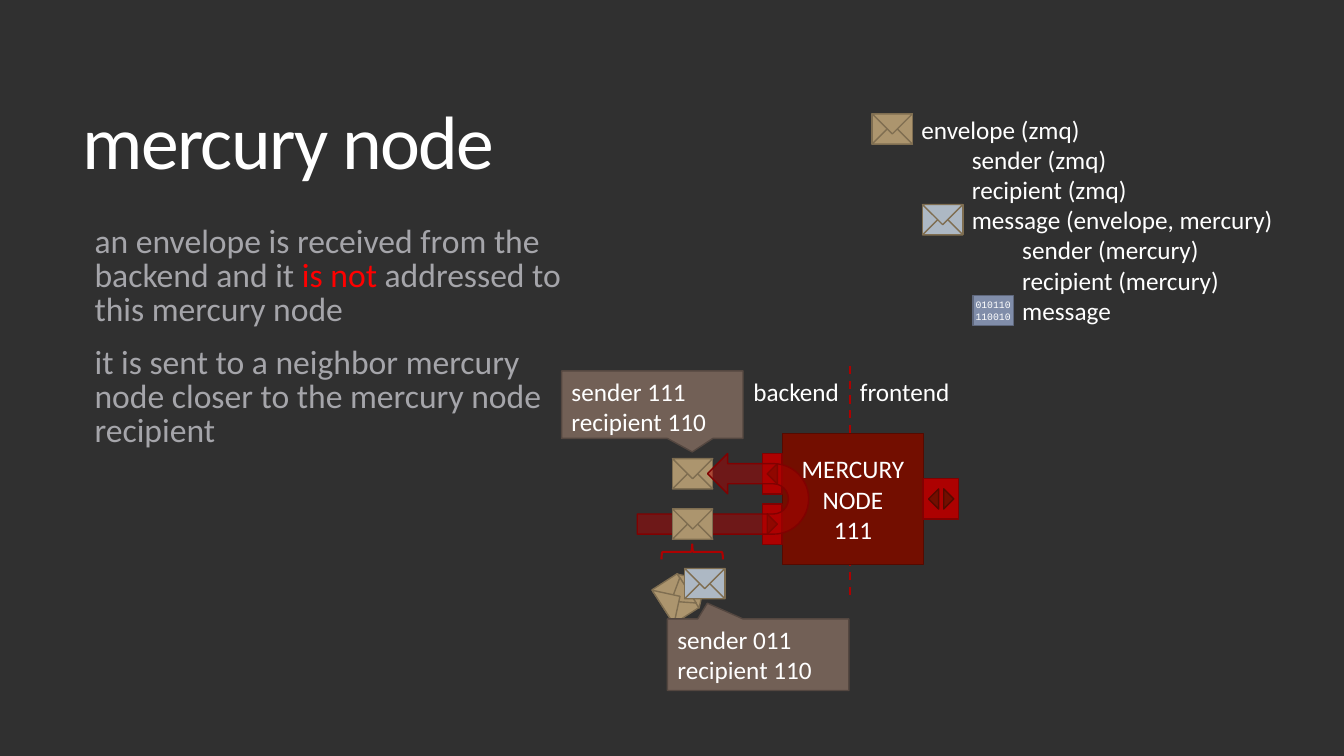
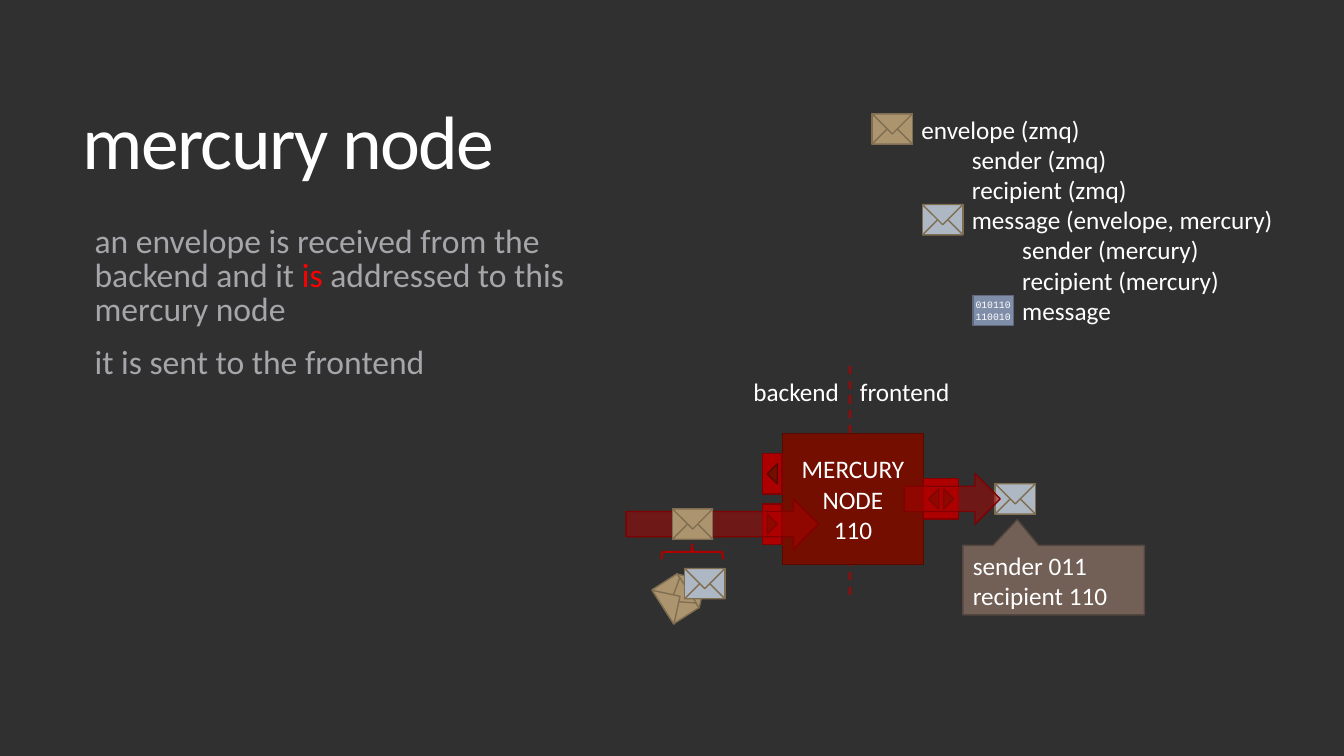
"""Build two slides on how a mercury node routes an envelope from its backend."""
from pptx import Presentation
from pptx.dml.color import RGBColor
from pptx.enum.dml import MSO_LINE
from pptx.enum.shapes import MSO_CONNECTOR, MSO_SHAPE as SHAPE
from pptx.enum.text import MSO_ANCHOR as ANCHOR, PP_ALIGN as ALIGN
from pptx.oxml.ns import qn
from pptx.util import Inches, Pt
from lxml.etree import SubElement

CELL = 0.1
BACKGROUND = RGBColor(0x30, 0x30, 0x30)
WHITE = RGBColor(0xFF, 0xFF, 0xFF)
GREY = RGBColor(0xA5, 0xA5, 0xAA)
ALERT = RGBColor(0xFF, 0x00, 0x00)
RED = RGBColor(0xAD, 0x01, 0x01)
RED_EDGE = RGBColor(0x80, 0x01, 0x01)
MAROON = RGBColor(0x73, 0x0E, 0x00)
MAROON_EDGE = RGBColor(0x55, 0x0A, 0x00)
TAN = RGBColor(0xAC, 0x95, 0x6E)
SILVER = RGBColor(0xAD, 0xB8, 0xC4)
PAPER_EDGE = RGBColor(0x7F, 0x6E, 0x51)
BROWN = RGBColor(0x72, 0x60, 0x56)
BROWN_EDGE = RGBColor(0x54, 0x47, 0x40)
BLUE = RGBColor(0x80, 0x8D, 0xA9)
BLUE_EDGE = RGBColor(0x5F, 0x68, 0x7D)

LEGEND = [
    (0, "envelope (zmq)"),
    (1, "sender (zmq)"),
    (1, "recipient (zmq)"),
    (1, "message (envelope, mercury)"),
    (2, "sender (mercury)"),
    (2, "recipient (mercury)"),
    (2, "message"),
]


def grid(cells):
    """Turn a count of grid cells into a length."""
    return Inches(cells * CELL)


def box(col, row, cols, rows):
    """Turn a place on the grid into left, top, width and height."""
    return [grid(n) for n in (col, row, cols, rows)]


def add_run(p, text, size=18, color=WHITE, font="Calibri"):
    """Add one formatted run to a paragraph."""
    r = p.add_run()
    r.text = text
    r.font.size = Pt(size)
    r.font.name = font
    r.font.color.rgb = color
    return r


def add_paragraphs(tf, count, align=ALIGN.LEFT):
    """Return the given number of aligned paragraphs of a text frame."""
    ps = [tf.paragraphs[0]] + [tf.add_paragraph() for _ in range(count - 1)]
    for p in ps:
        p.alignment = align
    return ps


def add_lines(tf, lines, align=ALIGN.LEFT):
    """Write plain lines, one paragraph each."""
    for p, line in zip(add_paragraphs(tf, len(lines), align), lines):
        add_run(p, line)


def indent(p, cells):
    """Set the left margin of a paragraph."""
    p._p.get_or_add_pPr().set("marL", str(grid(cells)))


def add_text(slide, place, wrap=True, anchor=ANCHOR.TOP):
    """Add a text box and return its text frame."""
    tf = slide.shapes.add_textbox(*box(*place)).text_frame
    tf.word_wrap = wrap
    tf.vertical_anchor = anchor
    return tf


def add_shape(shapes, kind, place, fill, edge, rotation=0, flip=False, width=1):
    """Add a preset shape without shadow, optionally turned and flipped."""
    sp = shapes.add_shape(kind, *box(*place))
    sp.shadow.inherit = False
    sp.rotation = rotation
    if flip:
        sp.element.spPr.find(qn("a:xfrm")).set("flipV", "1")
    if fill is None:
        sp.fill.background()
    else:
        sp.fill.solid()
        sp.fill.fore_color.rgb = fill
    sp.line.color.rgb = edge
    sp.line.width = Pt(width)
    return sp


def add_envelope(slide, col, row, fill=TAN):
    """Draw a closed envelope of four by three cells."""
    shapes = slide.shapes.add_group_shape().shapes
    add_shape(shapes, SHAPE.RECTANGLE, (col, row, 4, 3), fill, PAPER_EDGE)
    for top, flip in ((row + 1, False), (row, True)):
        add_shape(shapes, SHAPE.ISOSCELES_TRIANGLE, (col, top, 4, 2), fill,
                  PAPER_EDGE, flip=flip)


def add_open_envelope(slide):
    """Draw the tilted open envelope with its message and the brace above."""
    shapes = slide.shapes.add_group_shape().shapes
    flap = SHAPE.ISOSCELES_TRIANGLE
    for kind, place, flip in (
        (SHAPE.RECTANGLE, (65, 57.9, 4, 3), False),
        (flap, (67.1, 57.1, 4, 2), False),
        (flap, (65.9, 58.1, 3, 2), True),
        (flap, (64.6, 58.7, 4, 2), False),
    ):
        add_shape(shapes, kind, place, TAN, PAPER_EDGE, 57.3, flip)
    add_envelope(slide, 67.9, 56.4, SILVER)
    add_shape(slide.shapes, SHAPE.LEFT_BRACE, (67.9, 51.7, 1.5, 6.1), None, RED,
              90, width=1.5)


def add_callout(slide, place, pointer, lines):
    """Draw a callout whose pointer is given as shares of its size."""
    sp = add_shape(slide.shapes, SHAPE.RECTANGULAR_CALLOUT, place, BROWN, BROWN_EDGE)
    sp.adjustments[0], sp.adjustments[1] = pointer
    sp.text_frame.vertical_anchor = ANCHOR.TOP
    add_lines(sp.text_frame, lines)


def add_flow_arrow(slide, kind, place, rotation=0, flip=False, adjustments=()):
    """Draw a half transparent block arrow."""
    sp = add_shape(slide.shapes, kind, place, RED, RED_EDGE, rotation, flip)
    for i, value in enumerate(adjustments):
        sp.adjustments[i] = value
    color = sp.element.spPr.find(qn("a:solidFill")).find(qn("a:srgbClr"))
    SubElement(color, qn("a:alpha")).set("val", "50000")


def add_port(shapes, place, pointers):
    """Draw a port with triangles given as centre column and rotation."""
    add_shape(shapes, SHAPE.RECTANGLE, place, RED, RED_EDGE)
    middle = place[1] + place[3] / 2
    for center, rotation in pointers:
        add_shape(shapes, SHAPE.ISOSCELES_TRIANGLE, (center - 1, middle - 0.5, 2, 1),
                  MAROON, MAROON_EDGE, rotation)


def add_node(slide, number):
    """Draw the node, its ports and the border of backend and frontend."""
    border = slide.shapes.add_connector(
        MSO_CONNECTOR.STRAIGHT, grid(84.3), grid(36.3), grid(84.3), grid(59.3))
    border.line.color.rgb = RED
    border.line.width = Pt(1.5)
    border.line.dash_style = MSO_LINE.DASH
    SubElement(border.element.spPr, qn("a:effectLst"))
    for place, label, align in (
        ((73.7, 36.8, 10.5, 4), "backend", ALIGN.RIGHT),
        ((84.3, 36.8, 10.9, 4), "frontend", ALIGN.LEFT),
    ):
        add_lines(add_text(slide, place, wrap=False), [label], align)
    shapes = slide.shapes.add_group_shape().shapes
    sp = add_shape(shapes, SHAPE.RECTANGLE, (77.6, 43, 14, 13), MAROON, MAROON_EDGE)
    sp.text_frame.vertical_anchor = ANCHOR.MIDDLE
    add_lines(sp.text_frame, ["MERCURY NODE", number], ALIGN.CENTER)
    add_port(shapes, (75.65, 45, 1.9, 4), [(76.6, 270)])
    add_port(shapes, (75.65, 50, 1.9, 4), [(76.6, 90)])
    add_port(shapes, (91.55, 47.5, 3.5, 4), [(92.6, 270), (94.1, 90)])


def add_legend(slide):
    """List the nested parts of an envelope with their symbols."""
    tf = add_text(slide, (90.4, 10.8, 36.9, 22.2), wrap=False)
    for p, (level, text) in zip(add_paragraphs(tf, len(LEGEND)), LEGEND):
        indent(p, 5 * level)
        add_run(p, text)
    add_envelope(slide, 91.5, 20.3, SILVER)
    add_envelope(slide, 86.5, 11.3)
    sp = add_shape(slide.shapes, SHAPE.RECTANGLE, (96.5, 29.3, 4, 3), BLUE, BLUE_EDGE)
    tf = sp.text_frame
    tf.margin_left = tf.margin_right = 0
    tf.vertical_anchor = ANCHOR.MIDDLE
    add_run(add_paragraphs(tf, 1, ALIGN.CENTER)[0], "010110110010", 7,
            font="Courier New")


def add_heading(slide, condition, outcome):
    """Write the title and the two paragraphs of explanation."""
    p = add_text(slide, (7.2, 5.5, 117.8, 18.1), anchor=ANCHOR.MIDDLE).paragraphs[0]
    p.line_spacing = 0.85
    r = add_run(p, "mercury node", 54)
    r.font._element.set("spc", "-120")
    tf = add_text(slide, (7.4, 21.9, 51, 41.2))
    case, result = add_paragraphs(tf, 2)
    for p in (case, result):
        p.line_spacing = 0.85
        p.space_before = Pt(13)
        indent(p, 1)
    add_run(case, "an envelope is received from the backend and it ", 24, GREY)
    add_run(case, condition, 24, ALERT)
    add_run(case, "addressed to this mercury node", 24, GREY)
    add_run(result, outcome, 24, GREY)


def add_slide(prs, number, condition, outcome, sent, arrows, callouts):
    """Build one routing case on a blank slide."""
    slide = prs.slides.add_slide(prs.slide_layouts[6])
    slide.background.fill.solid()
    slide.background.fill.fore_color.rgb = BACKGROUND
    add_envelope(slide, *sent)
    add_heading(slide, condition, outcome)
    add_node(slide, number)
    for arrow in arrows:
        add_flow_arrow(slide, *arrow)
    add_envelope(slide, 66.7, 50.5)
    add_legend(slide)
    add_open_envelope(slide)
    for callout in callouts:
        add_callout(slide, *callout)


def main():
    """Build and save the presentation."""
    prs = Presentation()
    prs.slide_width, prs.slide_height = Inches(13.33), Inches(7.5)
    add_slide(
        prs, "111", "is not ",
        "it is sent to a neighbor mercury node closer to the mercury node recipient",
        (66.7, 45.5, TAN),
        [(SHAPE.U_TURN_ARROW, (67.7, 40.5, 8, 17), 270, True,
          (0.25, 0.25, 0.25, 0.44, 0.59))],
        [((55.7, 36.8, 18, 6.7), (0.22, 0.7), ["sender 111", "recipient 110"]),
         ((66.2, 61.4, 18, 7.1), (-0.28, -0.72), ["sender 011", "recipient 110"])])
    add_slide(
        prs, "110", "is ", "it is sent to the frontend",
        (98.7, 48, SILVER),
        [(SHAPE.RIGHT_ARROW, (62.1, 49.5, 19.1, 5)),
         (SHAPE.RIGHT_ARROW, (89.7, 47, 9.5, 5))],
        [((95.5, 54.1, 18, 6.9), (-0.2, -0.87), ["sender 011", "recipient 110"])])
    prs.save("out.pptx")


if __name__ == "__main__":
    main()
